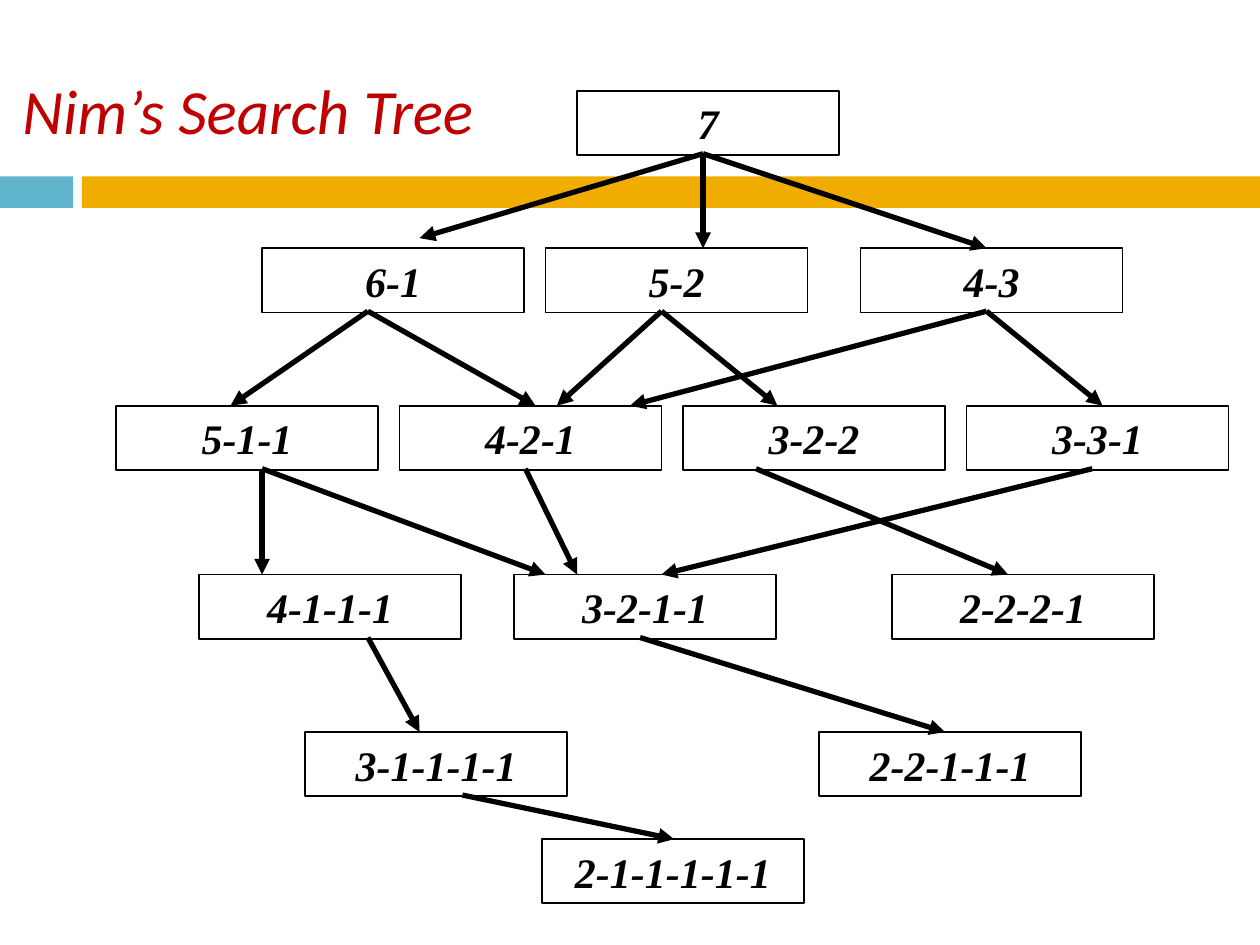
from pptx import Presentation
from pptx.dml.color import RGBColor
from pptx.enum.shapes import MSO_CONNECTOR, MSO_SHAPE
from pptx.enum.text import MSO_ANCHOR, PP_ALIGN
from pptx.oxml.ns import qn
from pptx.util import Inches, Pt
from lxml import etree

RECTANGLE = MSO_SHAPE.RECTANGLE
STRAIGHT = MSO_CONNECTOR.STRAIGHT
CENTER = PP_ALIGN.CENTER
MIDDLE = MSO_ANCHOR.MIDDLE
BLACK = RGBColor(0x00, 0x00, 0x00)
RED = RGBColor(0xC0, 0x00, 0x00)
BLUE = RGBColor(0x60, 0xB5, 0xCC)
GOLD = RGBColor(0xF0, 0xAD, 0x00)

TITLE = "Nim’s Search Tree"
BANDS = [(0, 0.58, BLUE), (0.65, 9.35, GOLD)]  # left, width, colour

# Each level: top, {state: left}, moves to the next level as (start x, end x)
LEVELS = [
    (0.72, {"7": 4.58}, [(5.58, 3.33), (5.58, 5.58), (5.58, 7.83)]),
    (1.97, {"6-1": 2.08, "5-2": 4.33, "4-3": 6.83},
     [(2.92, 1.83), (2.92, 4.25), (5.25, 4.42),
      (5.25, 6.17), (7.83, 5), (7.83, 8.75)]),
    (3.22, {"5-1-1": 0.92, "4-2-1": 3.17, "3-2-2": 5.42, "3-3-1": 7.67},
     [(2.08, 2.08), (2.08, 4.33), (4.17, 4.58), (8.67, 5.25), (6, 8)]),
    (4.56, {"4-1-1-1": 1.58, "3-2-1-1": 4.08, "2-2-2-1": 7.08},
     [(2.92, 3.33), (5.08, 7.5)]),
    (5.81, {"3-1-1-1-1": 2.42, "2-2-1-1-1": 6.5}, [(3.67, 5.35)]),
    (6.66, {"2-1-1-1-1-1": 4.3}, []),
]
NODE_WIDTH, NODE_HEIGHT = 2.08, 0.51
ARROW_START = 0.5  # below the top of the parent level
RAISED_ENDS = {(5.58, 3.33): 0.08}  # this arrow stops above its node


def add_rectangle(page, left, top, width, height):
    box = page.shapes.add_shape(RECTANGLE, Inches(left), Inches(top),
                                Inches(width), Inches(height))
    box.shadow.inherit = False
    return box


def add_band(page, left, width, colour):
    band = add_rectangle(page, left, 1.4, width, 0.25)
    band.fill.solid()
    band.fill.fore_color.rgb = colour
    band.line.fill.background()


def add_node(page, state, left, top):
    box = add_rectangle(page, left, top, NODE_WIDTH, NODE_HEIGHT)
    box.fill.background()
    box.line.color.rgb = BLACK
    box.line.width = Pt(1)
    frame = box.text_frame
    frame.word_wrap = True
    frame.vertical_anchor = MIDDLE
    para = frame.paragraphs[0]
    para.text = state
    para.alignment = CENTER
    set_font(para.font, "Times New Roman", 24, BLACK)
    para.font.bold = True


def add_arrow(page, start, end):
    arrow = page.shapes.add_connector(STRAIGHT, *map(Inches, start + end))
    arrow.line.color.rgb = BLACK
    arrow.line.width = Pt(3)
    head = etree.SubElement(arrow.line._get_or_add_ln(), qn("a:tailEnd"))
    head.set("type", "triangle")
    etree.SubElement(arrow._element.spPr, qn("a:effectLst"))


def set_font(font, name, size, colour):
    font.name = name
    font.size = Pt(size)
    font.color.rgb = colour
    font.italic = True


def main():
    deck = Presentation()
    deck.slide_width, deck.slide_height = Inches(10), Inches(7.5)
    page = deck.slides.add_slide(deck.slide_layouts[6])

    for band in BANDS:
        add_band(page, *band)

    # Search tree
    for index, (top, nodes, moves) in enumerate(LEVELS):
        for state, left in nodes.items():
            add_node(page, state, left, top)
        for move in moves:
            start_x, end_x = move
            end_y = LEVELS[index + 1][0] - RAISED_ENDS.get(move, 0)
            add_arrow(page, (start_x, top + ARROW_START), (end_x, end_y))

    # Title
    title = page.shapes.add_textbox(Inches(0.08), Inches(0.52),
                                    Inches(4.18), Inches(0.71))
    title.text_frame.word_wrap = False
    para = title.text_frame.paragraphs[0]
    para.text = TITLE
    set_font(para.font, "Calibri", 36, RED)

    deck.save("out.pptx")


if __name__ == "__main__":
    main()
